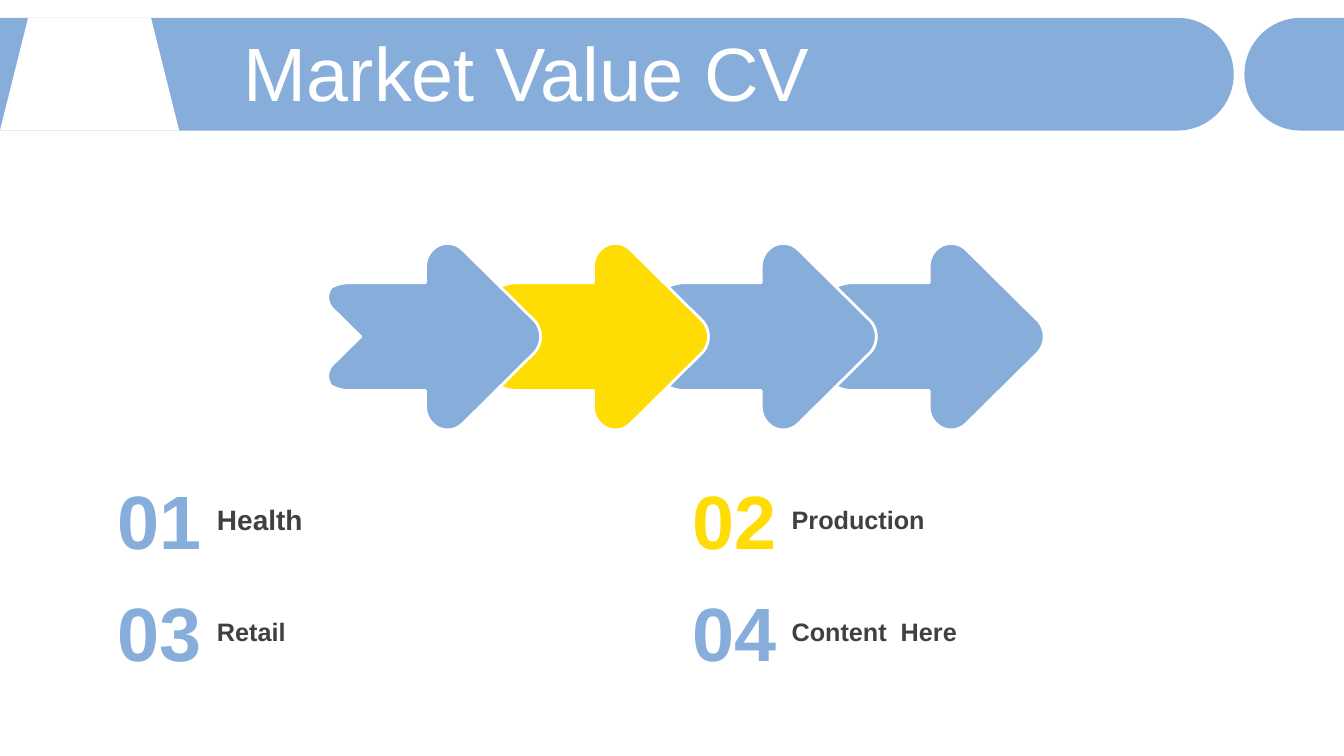
"""Builds the Market Value CV slide: header band, arrow chain and four numbered labels."""
from lxml import etree
from pptx import Presentation
from pptx.dml.color import RGBColor
from pptx.enum.shapes import MSO_SHAPE
from pptx.enum.text import MSO_ANCHOR, MSO_AUTO_SIZE, PP_ALIGN
from pptx.oxml.ns import qn
from pptx.util import Pt

BLUE = RGBColor(0x87, 0xAD, 0xDB)
YELLOW = RGBColor(0xFE, 0xDC, 0x04)
WHITE = RGBColor(0xFF, 0xFF, 0xFF)
GREY = RGBColor(0x40, 0x40, 0x40)
LEFT, RIGHT = PP_ALIGN.LEFT, PP_ALIGN.RIGHT
MIDDLE, NO_FIT = MSO_ANCHOR.MIDDLE, MSO_AUTO_SIZE.NONE
TRAPEZOID = MSO_SHAPE.TRAPEZOID
FONT = "Arial"

TITLE = "Market Value CV"
STEPS = [
    ("Health", 20, BLUE),
    ("Production", 18, YELLOW),
    ("Retail", 18, BLUE),
    ("Content  Here", 18, BLUE),
]

SLIDE_WIDTH, SLIDE_HEIGHT = 960, 540
BAND_TOP, BAND_RADIUS, BAND_END, PILL_START = 12.7, 40.3, 881.3, 888.9
BAND_MIDDLE = BAND_TOP + BAND_RADIUS
ARROW_LEFT, ARROW_MIDDLE, ARROW_PITCH = 234.7, 240.5, 119.9
COLUMN_LEFT, COLUMN_PITCH = 76.4, 410.5
ROW_MIDDLE, ROW_PITCH = 371.1, 80
NUMBER_WIDTH, NUMBER_HEIGHT = 67.5, 65.5
LABEL_OFFSET, LABEL_WIDTH, LABEL_HEIGHT = 78.6, 320, 32

BEND = 0.45 * BAND_RADIUS
BAND_HALF = [
    (0, BAND_RADIUS),
    (BAND_END - BAND_RADIUS, BAND_RADIUS),
    (BAND_END - BEND, BAND_RADIUS, BAND_END, BAND_RADIUS - BEND, BAND_END, 0),
]
PILL_HALF = [
    (PILL_START, 0),
    (PILL_START, BAND_RADIUS - BEND, PILL_START + BEND, BAND_RADIUS,
     PILL_START + BAND_RADIUS, BAND_RADIUS),
    (SLIDE_WIDTH, BAND_RADIUS),
]
ARROW_HALF = [
    (23, 0),
    (2.2, 20.5),
    (0.35, 22.75, -0.6, 25.5, -0.6, 28.2),
    (-0.6, 30.9, 0.35, 33.5, 2.2, 35.5),
    (7, 38, 11.5, 38.7, 16.5, 38.5),
    (69.3, 38.5),
    (69.3, 50.5),
    (69.3, 54.5, 71, 59, 74.2, 62),
    (80, 68.2, 90, 68.2, 96, 62),
    (147.5, 11),
    (150, 8, 151.5, 4, 151.5, 0),
]


def pairs(segment):
    """Split a segment into its points: one for a line, three for a curve."""
    return list(zip(segment[::2], segment[1::2]))


def mirrored(half):
    """Return a whole outline from its upper half, mirrored about a level axis."""
    upper = [pairs(segment) for segment in half]
    lower = [] if upper[-1][-1][1] == 0 else [[upper[-1][-1]]]
    for before, segment in reversed(list(zip(upper, upper[1:]))):
        lower.append(segment[-2::-1] + [before[-1]])
    return upper + [[(x, -y) for x, y in segment] for segment in lower]


def paint(shape, color, line=None):
    """Give a shape a flat fill and an optional outline."""
    shape.shadow.inherit = False
    shape.fill.solid()
    shape.fill.fore_color.rgb = color
    if line is None:
        shape.line.fill.background()
    else:
        shape.line.color.rgb = line
        shape.line.width = Pt(2)


def add_mirrored(shapes, half, left, middle, color, line=None):
    """Draw a symmetric shape with true Bezier curves."""
    segments = [[(Pt(left + x), Pt(middle - y)) for x, y in segment]
                for segment in mirrored(half)]
    ends = [segment[-1] for segment in segments]
    builder = shapes.build_freeform(*ends[0], scale=1.0)
    builder.add_line_segments(ends[1:], close=True)
    shape = builder.convert_to_shape()
    for edge, segment in zip(list(shape._element.iter(qn("a:lnTo"))), segments[1:]):
        if len(segment) == 3:
            curve = etree.Element(qn("a:cubicBezTo"))
            for x, y in segment:
                etree.SubElement(curve, qn("a:pt"), x=str(x - shape.left), y=str(y - shape.top))
            edge.getparent().replace(edge, curve)
    paint(shape, color, line)


def write(box, text, size, color, bold=False, align=LEFT, insets=None, spacing=None):
    """Put one formatted line of text in a box."""
    frame = box.text_frame
    frame.word_wrap = True
    frame.auto_size = NO_FIT
    frame.vertical_anchor = MIDDLE
    if insets is not None:
        (frame.margin_left, frame.margin_top,
         frame.margin_right, frame.margin_bottom) = map(Pt, insets)
    para = frame.paragraphs[0]
    para.alignment = align
    if spacing is not None:
        para.line_spacing = spacing
    span = para.add_run()
    span.text = text
    span.font.name = FONT
    span.font.size = Pt(size)
    span.font.bold = bold
    span.font.color.rgb = color


def add_text(shapes, text, left, middle, width, height, **style):
    """Add a text box centred on a level line."""
    box = shapes.add_textbox(Pt(left), Pt(middle - height / 2), Pt(width), Pt(height))
    write(box, text, **style)


deck = Presentation()
deck.slide_width, deck.slide_height = Pt(SLIDE_WIDTH), Pt(SLIDE_HEIGHT)
page = deck.slides.add_slide(deck.slide_layouts[5])
shapes = page.shapes
title = shapes.title

add_mirrored(shapes, BAND_HALF, 0, BAND_MIDDLE, BLUE)
emblem = shapes.add_shape(TRAPEZOID, 0, Pt(BAND_TOP), Pt(128), Pt(2 * BAND_RADIUS))
paint(emblem, WHITE)
add_mirrored(shapes, PILL_HALF, 0, BAND_MIDDLE, BLUE)

for index, (label, size, color) in reversed(list(enumerate(STEPS))):
    add_mirrored(shapes, ARROW_HALF, ARROW_LEFT + index * ARROW_PITCH,
                 ARROW_MIDDLE, color, line=WHITE)

title.left, title.top, title.width, title.height = map(Pt, (167, 26.6, 769.7, 56.9))
write(title, TITLE, 54, WHITE, spacing=0.9)
shapes._spTree.append(title._element)

for index, (label, size, color) in enumerate(STEPS):
    row, column = divmod(index, 2)
    left = COLUMN_LEFT + column * COLUMN_PITCH
    middle = ROW_MIDDLE + row * ROW_PITCH
    add_text(shapes, label, left + LABEL_OFFSET, middle, LABEL_WIDTH, LABEL_HEIGHT,
             size=size, color=GREY, bold=True, insets=(0, 3.6, 7.2, 3.6))
    add_text(shapes, f"{index + 1:02d}", left, middle, NUMBER_WIDTH, NUMBER_HEIGHT,
             size=54, color=color, bold=True, align=RIGHT, insets=(0, 0, 0, 0))

deck.save("out.pptx")
